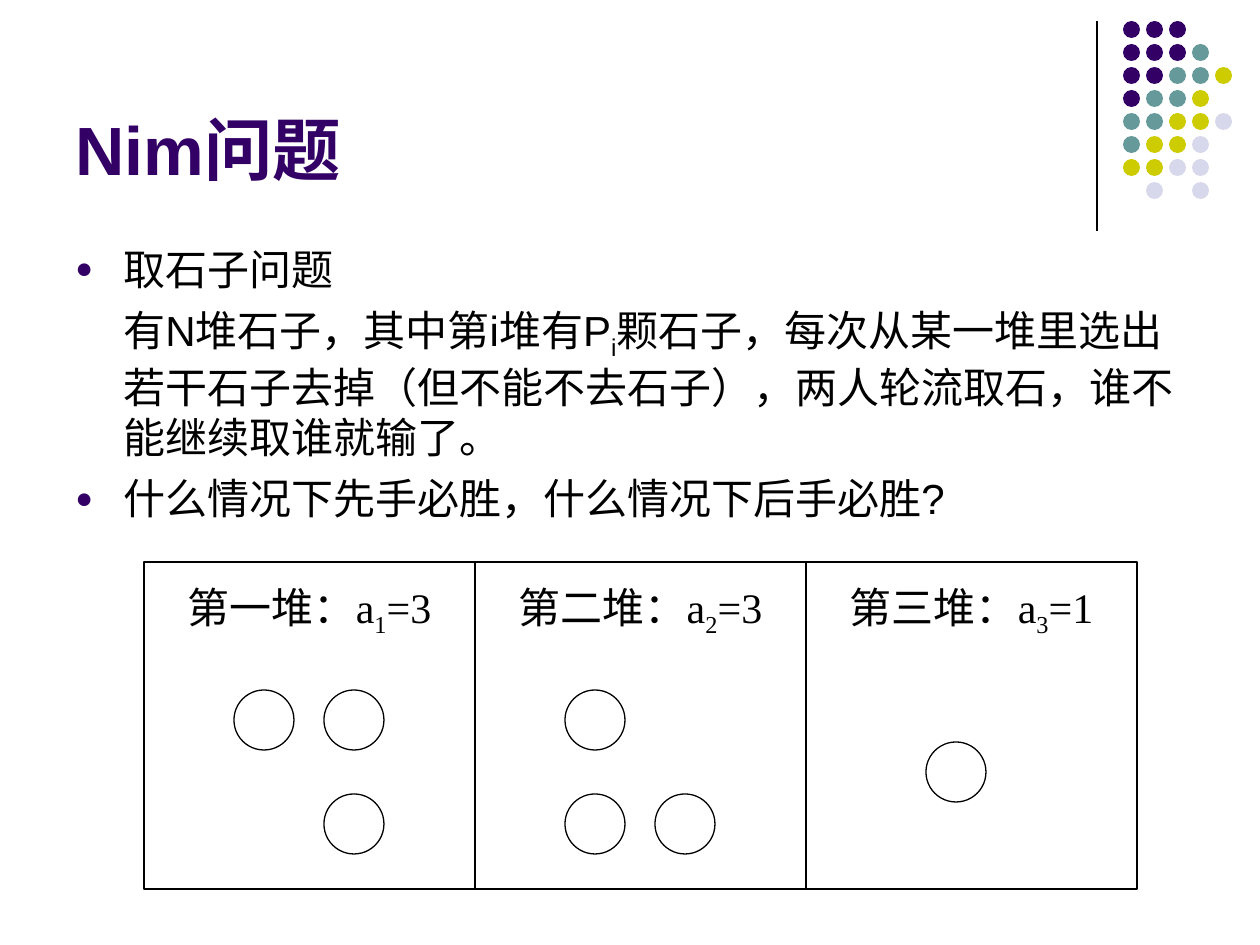
from pptx import Presentation
from pptx.dml.color import RGBColor
from pptx.enum.shapes import MSO_CONNECTOR, MSO_SHAPE
from pptx.enum.text import MSO_ANCHOR as Anchor, MSO_AUTO_SIZE as AutoSize, PP_ALIGN as Align
from pptx.oxml.ns import qn
from pptx.util import Emu, Pt
from lxml.etree import SubElement

PURPLE = RGBColor(0x33, 0x00, 0x66)
TEAL = RGBColor(0x66, 0x99, 0x99)
OLIVE = RGBColor(0xCC, 0xCC, 0x00)
LILAC = RGBColor(0xD8, 0xD8, 0xEC)
BLACK = RGBColor(0x00, 0x00, 0x00)
WHITE = RGBColor(0xFF, 0xFF, 0xFF)

DOT_COLORS = {"P": PURPLE, "T": TEAL, "O": OLIVE, "L": LILAC}
DOT_ROWS = ["PPP", "PPPT", "PPTTO", "PTTO", "TTOOL", "TOOL", "OOLL", ".L.L"]
DOT_LEFT, DOT_TOP, DOT_STEP, DOT_SIZE = 1123, 21, 23, 17

RULES = [
    (True, ["取石子问题"]),
    (False, ["有N堆石子，其中第i堆有P", "i",
             "颗石子，每次从某一堆里选出若干石子去掉（但不能不去石子），两人轮流取石，谁不能继续取谁就输了。"]),
    (True, ["什么情况下先手必胜，什么情况下后手必胜?"]),
]

PILE_LEFT, PILE_TOP, PILE_WIDTH, PILE_HEIGHT = 144, 562, 331, 327
STONE_SIZE = 60
PILES = [
    (["第一堆：a", "1", "=3"], [(90, 128), (180, 128), (180, 232)]),
    (["第二堆：a", "2", "=3"], [(90, 128), (180, 232), (90, 232)]),
    (["第三堆：a", "3", "=1"], [(120, 180)]),
]


def px(length):
    return Emu(round(length * 914400 / 126))


class Page:
    body_font = "Arial"
    label_font = "Times New Roman"
    text_size = 24
    title_size = 39
    line_width = 0.75
    indent = 48

    def __init__(self, deck):
        self.slide = deck.slides.add_slide(deck.slide_layouts[5])

    def frame(self, shape, anchor=Anchor.TOP):
        frame = shape.text_frame
        frame.word_wrap = True
        frame.auto_size = AutoSize.NONE
        frame.vertical_anchor = anchor
        return frame

    def title(self, text, left, top, width, height):
        box = self.slide.shapes.title
        box.left, box.top, box.width, box.height = map(px, (left, top, width, height))
        frame = self.frame(box, Anchor.BOTTOM)
        frame.text = text
        para = frame.paragraphs[0]
        para.alignment = Align.LEFT
        font = para.runs[0].font
        font.name, font.size, font.bold = self.body_font, Pt(self.title_size), True
        font.color.rgb = PURPLE

    def text_box(self, left, top, width, height):
        return self.frame(self.slide.shapes.add_textbox(*map(px, (left, top, width, height))))

    def spans(self, para, parts, name):
        for number, part in enumerate(parts):
            span = para.add_run()
            span.text = part
            span.font.name, span.font.size = name, Pt(self.text_size)
            span.font.color.rgb = BLACK
            if number == 1:
                span.font._element.set("baseline", "-25000")

    def bullet(self, props):
        color = SubElement(props, qn("a:buClr"))
        SubElement(color, qn("a:srgbClr"), val=str(PURPLE))
        SubElement(props, qn("a:buSzPct"), val="70000")
        SubElement(props, qn("a:buFont"), typeface=self.body_font)
        SubElement(props, qn("a:buChar"), char="●")

    def rules(self, items, left, top, width, height):
        frame = self.text_box(left, top, width, height)
        for number, (bulleted, parts) in enumerate(items):
            para = frame.add_paragraph() if number else frame.paragraphs[0]
            if number:
                para.space_before = Pt(6)
            props = para._p.get_or_add_pPr()
            props.set("marL", str(px(self.indent)))
            props.set("indent", str(-px(self.indent) if bulleted else 0))
            if bulleted:
                self.bullet(props)
            self.spans(para, parts, self.body_font)

    def label(self, parts, left, top, width, height):
        para = self.text_box(left, top, width, height).paragraphs[0]
        para.alignment = Align.CENTER
        self.spans(para, parts, self.label_font)

    def shape(self, kind, left, top, width, height, fill=WHITE, outlined=True):
        shape = self.slide.shapes.add_shape(kind, *map(px, (left, top, width, height)))
        shape.shadow.inherit = False
        shape.fill.solid()
        shape.fill.fore_color.rgb = fill
        if outlined:
            shape.line.color.rgb = BLACK
            shape.line.width = Pt(self.line_width)
        else:
            shape.line.fill.background()

    def circle(self, left, top, size, fill=WHITE, outlined=True):
        self.shape(MSO_SHAPE.OVAL, left, top, size, size, fill, outlined)

    def line(self, x1, y1, x2, y2):
        line = self.slide.shapes.add_connector(
            MSO_CONNECTOR.STRAIGHT, *map(px, (x1, y1, x2, y2)))
        line.line.color.rgb = BLACK
        line.line.width = Pt(self.line_width)
        SubElement(line._element.spPr, qn("a:effectLst"))


def main():
    deck = Presentation()
    deck.slide_width, deck.slide_height = px(1260), px(945)
    page = Page(deck)

    page.line(1097, 21, 1097, 231)
    for row, codes in enumerate(DOT_ROWS):
        for column, code in enumerate(codes):
            if code in DOT_COLORS:
                page.circle(DOT_LEFT + column * DOT_STEP, DOT_TOP + row * DOT_STEP,
                            DOT_SIZE, DOT_COLORS[code], outlined=False)

    page.title("Nim问题", 63, 16, 1040, 179)
    page.rules(RULES, 63, 237, 1134, 607)

    for number, (name, stones) in enumerate(PILES):
        left = PILE_LEFT + number * PILE_WIDTH
        page.shape(MSO_SHAPE.RECTANGLE, left, PILE_TOP, PILE_WIDTH, PILE_HEIGHT)
        for x, y in stones:
            page.circle(left + x, PILE_TOP + y, STONE_SIZE)
        page.label(name, left, PILE_TOP + 13, PILE_WIDTH, 116)

    deck.save("out.pptx")


if __name__ == "__main__":
    main()
